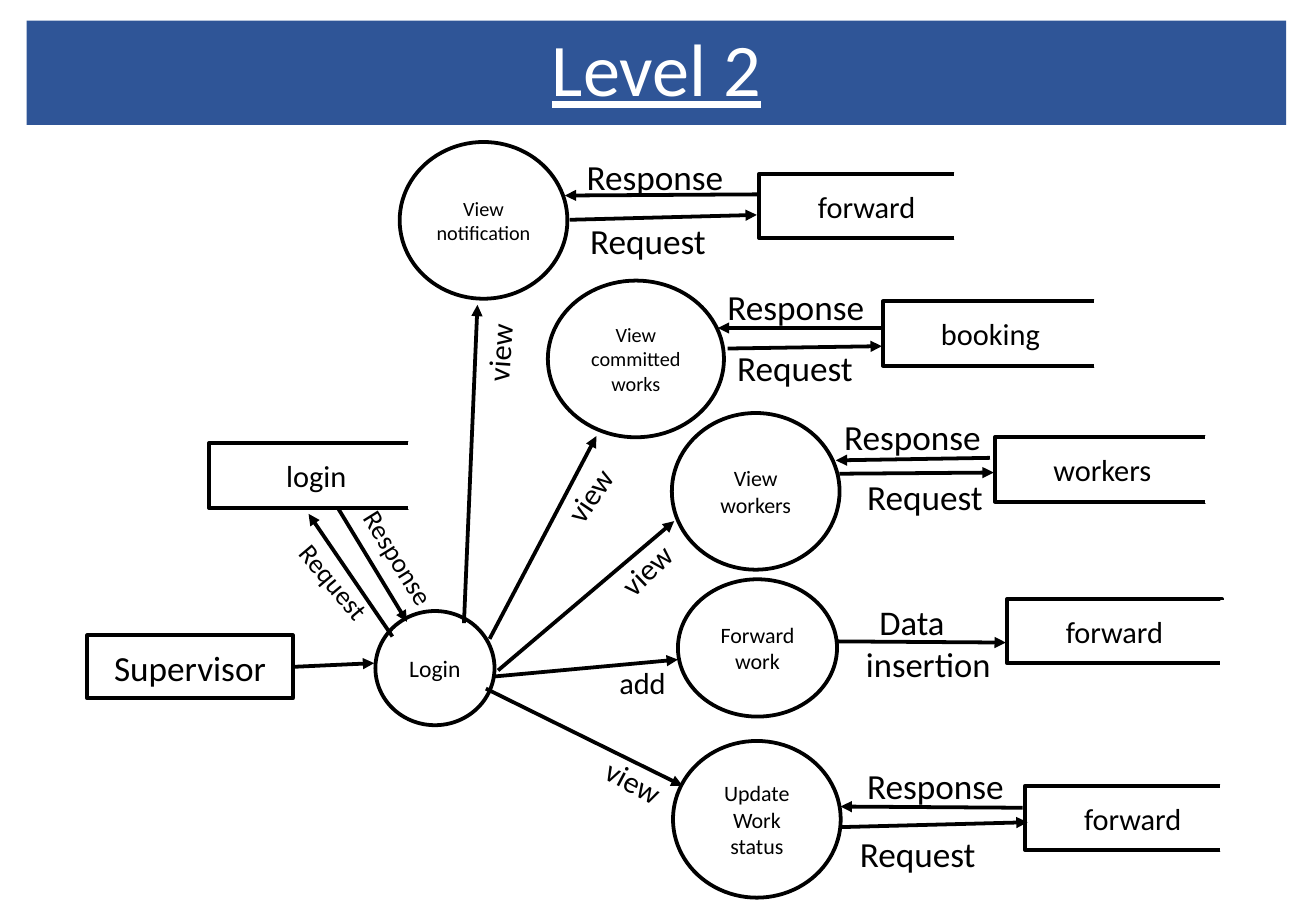
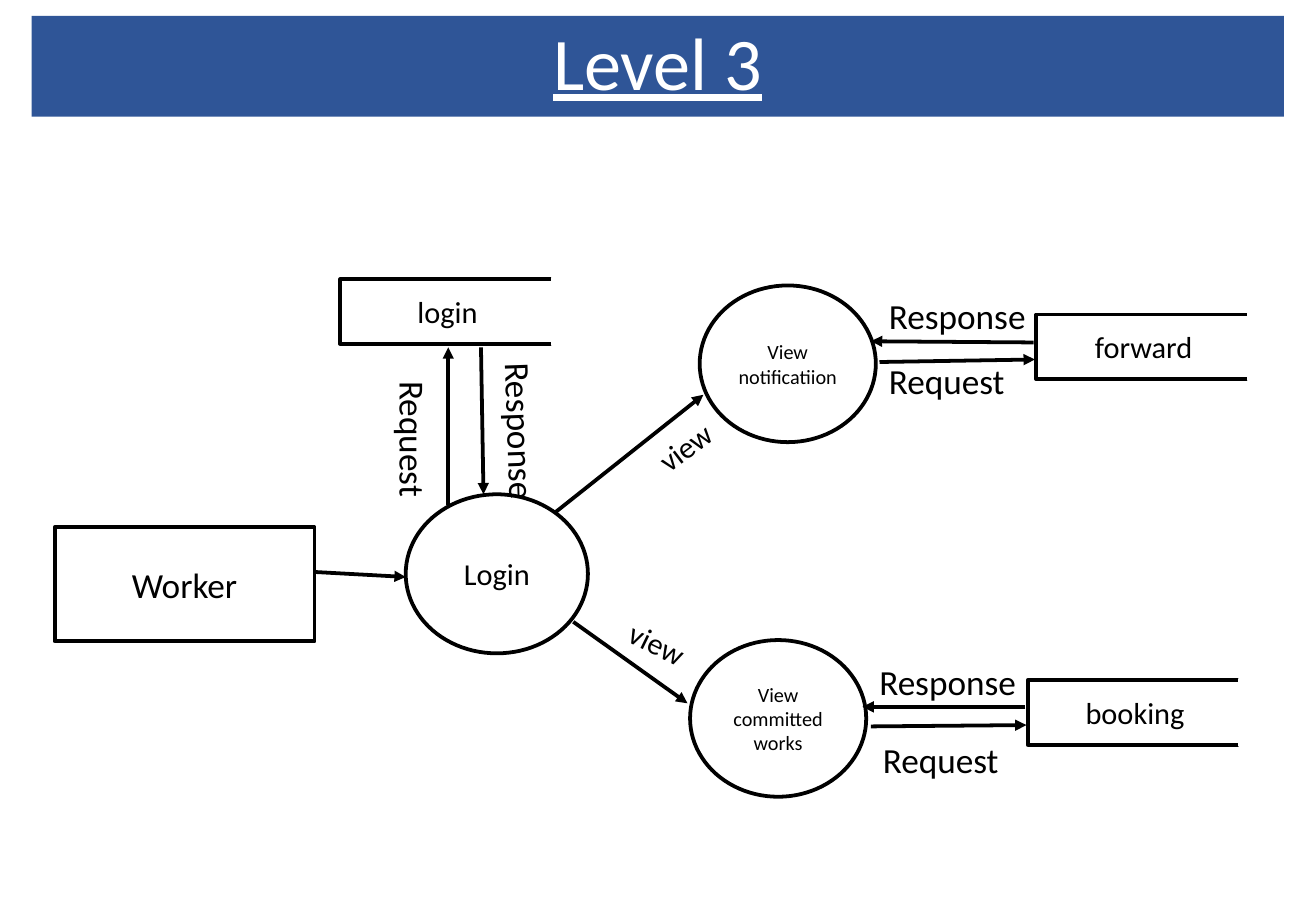
from pptx import Presentation
from pptx.dml.color import RGBColor
from pptx.enum.shapes import MSO_CONNECTOR, MSO_SHAPE
from pptx.enum.text import MSO_ANCHOR, PP_ALIGN
from pptx.oxml.ns import qn
from pptx.util import Pt
from lxml.etree import SubElement

BLUE, BLACK, WHITE = "2F5597", "000000", "FFFFFF"
FONT = "Calibri"
STROKE = 2.25
STORE_SIZE = (127.4, 38.2)
FLOW_SIZE = 20.9


def color(hex_code):
    """Turn a hex string into a colour."""
    return RGBColor.from_string(hex_code)


def write(frame, text, size, ink=BLACK, align=PP_ALIGN.CENTER):
    """Write each line of the text as a paragraph and return the runs."""
    frame.word_wrap = True
    runs = []
    for index, line in enumerate(text.split("\n")):
        paragraph = frame.add_paragraph() if index else frame.paragraphs[0]
        paragraph.alignment = align
        run = paragraph.add_run()
        run.text = line
        run.font.name = FONT
        run.font.size = Pt(size)
        run.font.color.rgb = color(ink)
        runs.append(run)
    return runs


def node(slide, kind, box, fill=WHITE, line=BLACK, width=STROKE):
    """Draw a flat preset shape in the box."""
    shape = slide.shapes.add_shape(kind, *map(Pt, box))
    shape.shadow.inherit = False
    shape.fill.solid()
    shape.fill.fore_color.rgb = color(fill)
    if line:
        shape.line.color.rgb = color(line)
        shape.line.width = Pt(width)
    else:
        shape.line.fill.background()
    shape.text_frame.vertical_anchor = MSO_ANCHOR.MIDDLE
    return shape


def title_band(slide, box, text):
    """Draw the blue band with its underlined title."""
    band = node(slide, MSO_SHAPE.RECTANGLE, box, BLUE, None)
    for run in write(band.text_frame, text, 44, WHITE):
        run.font.underline = True
    band.text_frame.paragraphs[0].line_spacing = 0.9


def entity(slide, box, text):
    """Draw an outside actor as a rectangle."""
    actor = node(slide, MSO_SHAPE.RECTANGLE, box)
    write(actor.text_frame, text, FLOW_SIZE)
    return actor


def process(slide, box, text, size):
    """Draw a process as a circle."""
    circle = node(slide, MSO_SHAPE.FLOWCHART_CONNECTOR, box)
    write(circle.text_frame, text, size)


def data_store(slide, left, top, text, open_at=125.3, drop=-0.7):
    """Draw a data store whose right side is left open."""
    store = node(slide, MSO_SHAPE.FLOWCHART_PROCESS, (left, top, *STORE_SIZE))
    write(store.text_frame, text, 18)
    node(slide, MSO_SHAPE.RECTANGLE, (left + open_at, top + drop, 21.6, 39.6), line=WHITE, width=1)


def arrow(slide, start, end, source=None):
    """Draw an arrow, joined to the right side of the source if there is one."""
    flow = slide.shapes.add_connector(MSO_CONNECTOR.STRAIGHT, *map(Pt, (*start, *end)))
    flow.line.color.rgb = color(BLACK)
    flow.line.width = Pt(STROKE)
    SubElement(flow.line._get_or_add_ln(), qn("a:tailEnd"), type="triangle")
    SubElement(flow._element.spPr, qn("a:effectLst"))
    if source is not None:
        flow.begin_connect(source, 3)


def label(slide, left, top, width, text, size=18, rotation=0):
    """Write the name of a flow, turned by the rotation."""
    height = size * 1.2 + 7.2
    note = slide.shapes.add_textbox(*map(Pt, (left, top, width, height)))
    note.rotation = rotation
    write(note.text_frame, text, size, align=PP_ALIGN.LEFT)


def lookup(slide, box, text, size, store, store_at, response, request, notes, open_at=125.3):
    """Draw a process that asks a data store, with offsets from the corner of the box."""
    left, top = box[:2]

    def place(offset):
        """Move an offset to the slide."""
        return left + offset[0], top + offset[1]

    data_store(slide, *place(store_at), store, open_at)
    process(slide, box, text, size)
    for ends in (response, request):
        arrow(slide, *map(place, ends))
    for offset, width, name in zip(notes, (117.4, 124.6), ("Response", "Request")):
        label(slide, *place(offset), width, name, FLOW_SIZE)


def supervisor_level(slide):
    """Draw the data flow of the supervisor."""
    title_band(slide, (15.8, 12.2, 746.6, 61.9), "Level 2")
    supervisor = entity(slide, (51.8, 376.6, 121.7, 37.4), "Supervisor")
    data_store(slide, 123.8, 262.8, "login", 118.8)
    process(slide, (222.5, 362.2, 70.6, 67.7), "Login", 14)
    arrow(slide, (173.5, 395.3), (221.8, 393.1), supervisor)

    lookup(slide, (236.9, 84.2, 99.4, 92.9), "View notification", 12, "forward", (213.1, 18.8),
           ((213.1, 31), (97.9, 31.7)), ((100.8, 46.1), (211.7, 43.2)),
           ((103.7, 4.4), (105.8, 42.5)), 115.9)
    lookup(slide, (324.7, 166.3, 104.4, 92.9), "View\ncommitted works", 12, "booking", (198.7, 12.3),
           ((197.3, 28.1), (100.8, 28.1)), ((106.6, 40.3), (198, 38.9)),
           ((99.4, -0.7), (105.1, 35.3)))
    lookup(slide, (398.2, 244.8, 99.4, 92.9), "View workers", 13, "workers", (191.5, 14.4),
           ((188.6, 26.6), (97.2, 28.1)), ((99.3, 36), (190.8, 35.3)),
           ((95, -2.2), (108.7, 33.1)))
    lookup(slide, (398.9, 439.2, 99.4, 92.9), "Update\nWork status", 13, "forward", (208.8, 26.6),
           ((207.3, 39.6), (99.3, 38.9)), ((99.3, 51.1), (210.2, 48.2)),
           ((108, 10.1), (103.7, 50.4)), 115.9)

    data_store(slide, 596.9, 355, "forward", 126.7, 1.4)
    process(slide, (401.8, 343.4, 94.3, 81.4), "Forward work", 13)
    for start, end in (
        ((232.6, 377.3), (182.9, 304.6)),
        ((200.2, 301), (241.2, 368.6)),
        ((275, 369.4), (283, 180.7)),
        ((290.2, 378.7), (353.5, 258.5)),
        ((295.2, 397.4), (399.6, 308.9)),
        ((293, 401), (401.8, 391)),
        ((288, 408.2), (404.6, 465.8)),
        ((496.8, 380.2), (596.2, 380.9)),
    ):
        arrow(slide, start, end)
    for left, top, rotation in (
        (241.9, 162.7, 274), (311, 252.7, 304), (349.9, 301, 316), (347.8, 463.7, 28),
    ):
        label(slide, left, top, 112.3, "view", rotation=rotation)
    label(slide, 360, 390.2, 74.9, "add")
    label(slide, 514.1, 352.8, 117.4, "Data", 20.5)
    label(slide, 506.2, 377.3, 124.6, "insertion", 20.5)
    label(slide, 154.8, 352.8, 121.7, "Request", 16, 50)
    label(slide, 193, 326.9, 98.6, "Response", 16, 58)


def worker_level(slide):
    """Draw the data flow of the worker."""
    title_band(slide, (18.7, 9.4, 742.3, 59.8), "Level 3")
    entity(slide, (32.4, 312.5, 154.1, 67.7), "Worker")
    data_store(slide, 201.6, 165.6, "login")
    process(slide, (240.5, 293, 108, 94.3), "Login", 18)

    lookup(slide, (414.7, 169.2, 104.4, 92.9), "View\nnotificatiion", 12, "forward", (199.5, 17.3),
           ((198, 33.8), (101.5, 33.1)), ((106.6, 45.4), (198.7, 43.9)),
           ((105.1, 1.4), (105.1, 40.3)))
    lookup(slide, (409, 379.4, 104.4, 92.9), "View\ncommitted works", 12, "booking", (200.1, 23.8),
           ((198.7, 39.6), (102.2, 39.6)), ((107.2, 51.2), (199.4, 50.4)),
           ((105.1, 8.7), (107.2, 54.8)))

    for start, end in (
        ((187.2, 339.1), (240.5, 342)),
        ((265.7, 299.5), (265.7, 205.9)),
        ((285.1, 205.9), (286.6, 293)),
        ((329, 303.8), (416.9, 234)),
        ((339.8, 368.6), (407.5, 416.9)),
    ):
        arrow(slide, start, end)
    label(slide, 182.9, 265, 124.6, "Request", FLOW_SIZE, 90)
    label(slide, 250.6, 250.6, 117.4, "Response", FLOW_SIZE, 88)
    label(slide, 379.4, 243.4, 72, "view", rotation=323)
    label(slide, 364.3, 372.2, 72, "view", rotation=26)


def main():
    """Build and save the presentation."""
    deck = Presentation()
    deck.slide_width, deck.slide_height = Pt(780), Pt(540)
    for draw_level in (supervisor_level, worker_level):
        draw_level(deck.slides.add_slide(deck.slide_layouts[6]))
    deck.save("out.pptx")


if __name__ == "__main__":
    main()
